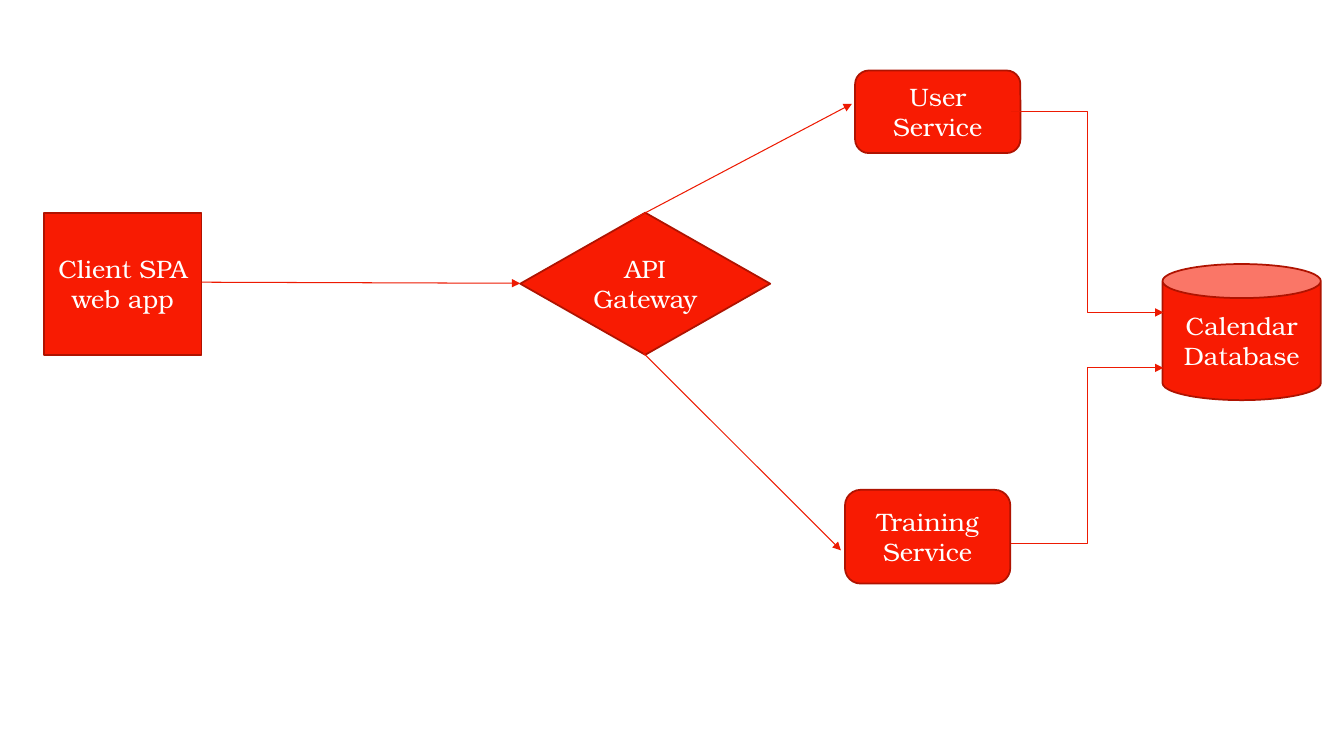
from typing import NamedTuple

from lxml import etree
from pptx import Presentation
from pptx.dml.color import RGBColor
from pptx.enum.shapes import MSO_CONNECTOR, MSO_SHAPE
from pptx.enum.text import MSO_ANCHOR, PP_ALIGN
from pptx.oxml.ns import qn
from pptx.util import Inches, Pt

STRAIGHT, ELBOW = MSO_CONNECTOR.STRAIGHT, MSO_CONNECTOR.ELBOW
RECTANGLE, DIAMOND = MSO_SHAPE.RECTANGLE, MSO_SHAPE.DIAMOND
ROUNDED, CYLINDER = MSO_SHAPE.ROUNDED_RECTANGLE, MSO_SHAPE.CAN
CENTER, MIDDLE = PP_ALIGN.CENTER, MSO_ANCHOR.MIDDLE

WIDTH, HEIGHT = Inches(13.33), Inches(7.5)
FONT = "TeX Gyre Bonum"
FILL, OUTLINE, ARROW, TEXT = "F81B02", "AF1301", "ED1A02", "FFFFFF"
BLANK_LAYOUT = 6


class Node(NamedTuple):
    """A labelled shape; lengths are percentages of the slide's size."""
    label: str
    kind: MSO_SHAPE
    left: float
    top: float
    width: float
    height: float


class Link(NamedTuple):
    """An arrow; its ends are percentages of the slide's size."""
    kind: MSO_CONNECTOR
    start: tuple[float, float]
    end: tuple[float, float]


SERVICE_WIDTH = 12.3
FRONT_TOP, FRONT_HEIGHT = 28.13, 18.8
SERVICE_EXIT, DATABASE_ENTRY = 75.24, 86.57

NODES = [
    Node("Client SPA web app", RECTANGLE, 3.3, FRONT_TOP, 11.7, FRONT_HEIGHT),
    Node("API Gateway", DIAMOND, 38.71, FRONT_TOP, 18.6, FRONT_HEIGHT),
    Node("User Service", ROUNDED, 63.62, 9.33, SERVICE_WIDTH, 10.93),
    Node("Training Service", ROUNDED, 62.87, 64.8, SERVICE_WIDTH, 12.4),
    Node("Calendar Database", CYLINDER, 86.5, 34.93, 11.78, 18),
]
LINKS = [
    Link(STRAIGHT, (15, 37.33), (38.71, 37.47)),
    Link(STRAIGHT, (47.86, 46.67), (62.57, 72.8)),
    Link(STRAIGHT, (47.04, 29.07), (63.39, 13.73)),
    Link(ELBOW, (SERVICE_EXIT, 14.8), (DATABASE_ENTRY, 41.33)),
    Link(ELBOW, (SERVICE_EXIT, 71.87), (DATABASE_ENTRY, 48.67)),
]


def across(percent: float) -> int:
    return round(WIDTH * percent / 100)


def down(percent: float) -> int:
    return round(HEIGHT * percent / 100)


def color(value: str) -> RGBColor:
    return RGBColor.from_string(value)


def draw_node(page, node: Node) -> None:
    box = page.shapes.add_shape(
        node.kind, across(node.left), down(node.top),
        across(node.width), down(node.height))
    box.shadow.inherit = False
    box.fill.solid()
    box.fill.fore_color.rgb = color(FILL)
    box.line.color.rgb = color(OUTLINE)
    box.line.width = Pt(1.25)
    frame = box.text_frame
    frame.word_wrap = True
    frame.vertical_anchor = MIDDLE
    para = frame.paragraphs[0]
    para.text = node.label
    para.alignment = CENTER
    para.font.name = FONT
    para.font.size = Pt(18)
    para.font.color.rgb = color(TEXT)


def draw_link(page, link: Link) -> None:
    (start_x, start_y), (end_x, end_y) = link.start, link.end
    arrow = page.shapes.add_connector(
        link.kind, across(start_x), down(start_y), across(end_x), down(end_y))
    arrow.line.color.rgb = color(ARROW)
    arrow.line.width = Pt(0.75)
    etree.SubElement(arrow.line._get_or_add_ln(), qn("a:tailEnd"), type="triangle")
    etree.SubElement(arrow._element.spPr, qn("a:effectLst"))


deck = Presentation()
deck.slide_width, deck.slide_height = WIDTH, HEIGHT
page = deck.slides.add_slide(deck.slide_layouts[BLANK_LAYOUT])

# Components of the system
for node in NODES:
    draw_node(page, node)

# Requests between them
for link in LINKS:
    draw_link(page, link)

deck.save("out.pptx")
